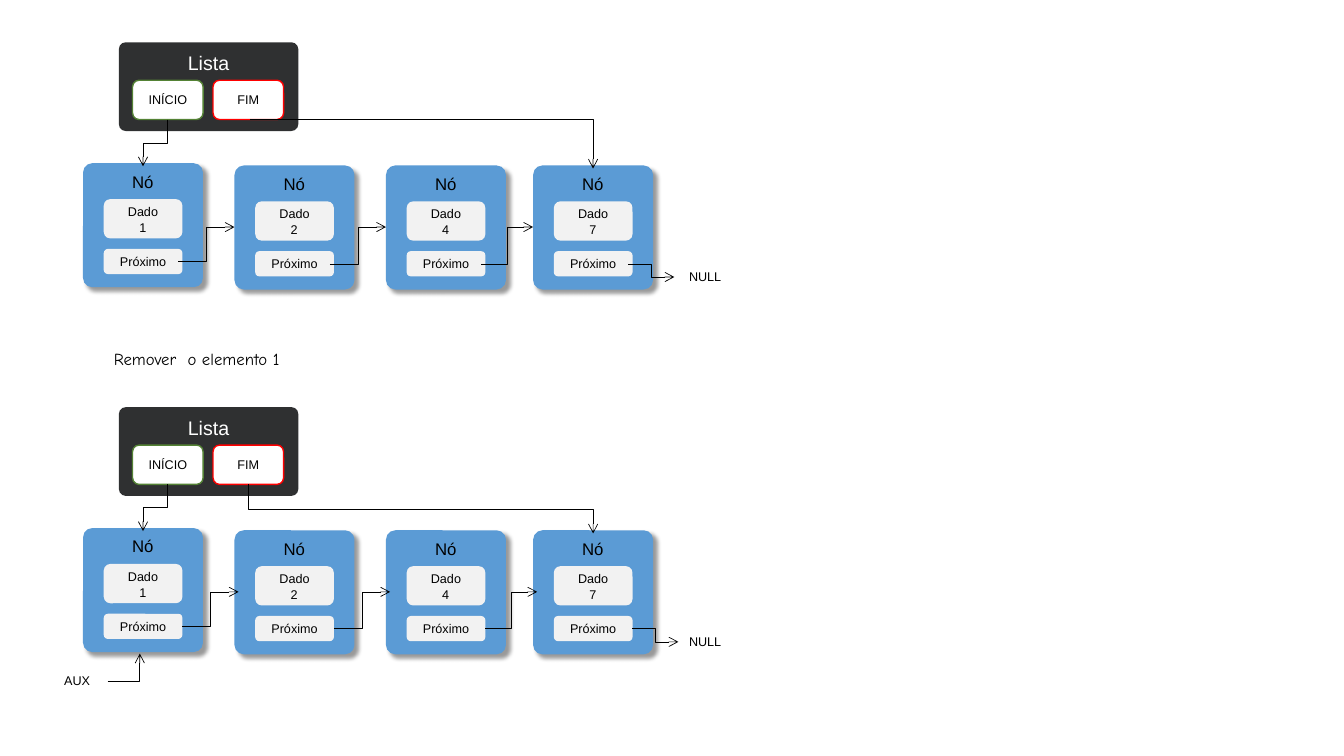
from lxml import etree
from pptx import Presentation
from pptx.dml.color import RGBColor
from pptx.enum.shapes import MSO_CONNECTOR, MSO_SHAPE
from pptx.enum.text import MSO_AUTO_SIZE, PP_ALIGN
from pptx.oxml import parse_xml
from pptx.oxml.ns import nsdecls, qn
from pptx.util import Pt

ELBOW = MSO_CONNECTOR.ELBOW
ROUNDED = MSO_SHAPE.ROUNDED_RECTANGLE
FIT_SHAPE = MSO_AUTO_SIZE.SHAPE_TO_FIT_TEXT
LEFT, CENTER = PP_ALIGN.LEFT, PP_ALIGN.CENTER

BLACK = RGBColor(0x00, 0x00, 0x00)
WHITE = RGBColor(0xFF, 0xFF, 0xFF)
BLUE = RGBColor(0x5B, 0x9B, 0xD5)
GREY = RGBColor(0xF2, 0xF2, 0xF2)
DARK = RGBColor(0x2F, 0x30, 0x31)
RED = RGBColor(0xFF, 0x00, 0x00)
GREEN = RGBColor(0x54, 0x82, 0x35)

NODES = [("1", 0, 86.4), ("2", 108.2, 88), ("4", 216.4, 88), ("7", 321.5, 88)]
NODE_W, NODE_H = 85.7, 88.6
FIELD_W, FIELD_H = 50.4, 28.1
SHADOW = (
    f'<a:effectLst {nsdecls("a")}><a:outerShdw blurRad="38100" dist="50800" dir="2700000" '
    'algn="tl" rotWithShape="0"><a:srgbClr val="000000"><a:alpha val="40000"/></a:srgbClr>'
    '</a:outerShdw></a:effectLst>'
)


def add_text(shapes, text, x, y, w, h, size=9, color=BLACK, font="Arial", align=CENTER, wrap=True):
    """Add a one-line text box."""
    tf = shapes.add_textbox(Pt(x), Pt(y), Pt(w), Pt(h)).text_frame
    tf.word_wrap = wrap
    tf.auto_size = FIT_SHAPE
    p = tf.paragraphs[0]
    p.alignment = align
    r = p.add_run()
    r.text = text
    r.font.size = Pt(size)
    r.font.name = font
    r.font.color.rgb = color


def add_box(shapes, x, y, w, h, fill, line=None, radius=None):
    """Add a filled rounded rectangle and return it."""
    sp = shapes.add_shape(ROUNDED, Pt(x), Pt(y), Pt(w), Pt(h))
    sp.shadow.inherit = False
    sp.fill.solid()
    sp.fill.fore_color.rgb = fill
    if radius is not None:
        sp.adjustments[0] = radius
    if line is None:
        sp.line.fill.background()
    else:
        sp.line.color.rgb = line
        sp.line.width = Pt(1)
    return sp


def add_arrow(shapes, x1, y1, x2, y2, vertical=False, corner=False):
    """Add an elbow arrow that leaves sideways, or downwards when vertical."""
    if vertical:
        mid_x, mid_y = (x1 + x2) / 2, (y1 + y2) / 2
        half_w, half_h = (y2 - y1) / 2, (x1 - x2) / 2
        x1, x2 = mid_x - half_w, mid_x + half_w
        y1, y2 = mid_y - half_h, mid_y + half_h
    arrow = shapes.add_connector(ELBOW, Pt(x1), Pt(y1), Pt(x2), Pt(y2))
    arrow.line.color.rgb = BLACK
    arrow.line.width = Pt(0.5)
    props = arrow._element.spPr
    if vertical:
        props.find(qn("a:xfrm")).set("rot", "5400000")
    if corner:
        props.find(qn("a:prstGeom")).set("prst", "bentConnector2")
    etree.SubElement(props.find(qn("a:ln")), qn("a:tailEnd"), type="arrow")
    etree.SubElement(props, qn("a:effectLst"))


def draw_node(s, value, x, y):
    """Draw a node with its value and its next field."""
    shapes = s.shapes.add_group_shape().shapes
    body = add_box(shapes, x, y, NODE_W, NODE_H, BLUE, radius=0.078)
    props = body._element.spPr
    props.replace(props.find(qn("a:effectLst")), parse_xml(SHADOW))
    add_text(shapes, "Nó", x + 27.2, y + 2.2, 31, 21.8, size=12)
    add_box(shapes, x + 14.8, y + 61.2, 56.2, 18, GREY)
    add_text(shapes, "Próximo", x + 17.7, y + 61.2, 50.4, 18.2)
    add_box(shapes, x + 14.8, y + 25.6, 56.2, FIELD_H, GREY)
    add_text(shapes, "Dado", x + 23.4, y + 25.6, 38.9, 18.2)
    add_text(shapes, value, x + 33, y + 36.9, 19.4, 18.2)


def draw_header(s, x, y):
    """Draw the list header with its start and end fields."""
    shapes = s.shapes.add_group_shape().shapes
    add_box(shapes, x, y, 128.2, 63.4, DARK, radius=0.078)
    for label, offset, color in (("FIM", 67.3, RED), ("INÍCIO", 9.8, GREEN)):
        add_box(shapes, x + offset, y + 27.1, FIELD_W, FIELD_H, WHITE, line=color)
        add_text(shapes, label, x + offset + 2.5, y + 31.7, 45.4, 18.2)
    add_text(shapes, "Lista", x + 39.2, y + 2.9, 49.7, 24.2, size=14, color=WHITE)


def draw_list(s, x, y, shift=0.0, corner_end=False):
    """Draw a linked list; shift moves the next arrows to the right."""
    for value, dx, dy in NODES:
        draw_node(s, value, x + dx, y + dy)
    draw_header(s, x + 25.6, y)
    add_text(s.shapes, "NULL", x + 422.4, y + 158.4, 43.9, 18.2)

    targets = [(dx, dy + 44) for _, dx, dy in NODES[1:]] + [(422.4, 167.7)]
    for (_, dx, dy), (end_x, end_y) in zip(NODES, targets):
        add_arrow(s.shapes, x + dx + 68.1 + shift, y + dy + 70.4, x + end_x + shift, y + end_y)

    field_bottom = y + 27.1 + FIELD_H
    first_x, last_x = (x + NODES[i][1] + NODE_W / 2 for i in (0, -1))
    add_arrow(s.shapes, x + 60.4, field_bottom, first_x, y + 88.6, vertical=True)
    end_x = x + (119.2 if corner_end else 118)
    add_arrow(s.shapes, end_x, field_bottom, last_x, y + 90.2,
              vertical=not corner_end, corner=corner_end)


def draw_aux(s, x, y):
    """Draw the auxiliary pointer below the first node."""
    add_text(s.shapes, "AUX", x, y, 43.9, 18.2)
    add_arrow(s.shapes, x + 43.9, y + 9.4, x + 66.8, y - 10.4, corner=True)


def main():
    """Build the slide and save it."""
    prs = Presentation()
    prs.slide_width, prs.slide_height = Pt(960), Pt(540)
    s = prs.slides.add_slide(prs.slide_layouts[6])
    draw_list(s, 59.3, 30.2, corner_end=True)
    draw_list(s, 59.3, 290.8, shift=2.9)
    draw_aux(s, 33.1, 477.3)
    add_text(s.shapes, "Remover  o elemento 1", 74.2, 245.5, 139, 21.8,
             size=12, font="Comic Neue", align=LEFT, wrap=False)
    prs.save("out.pptx")


if __name__ == "__main__":
    main()
